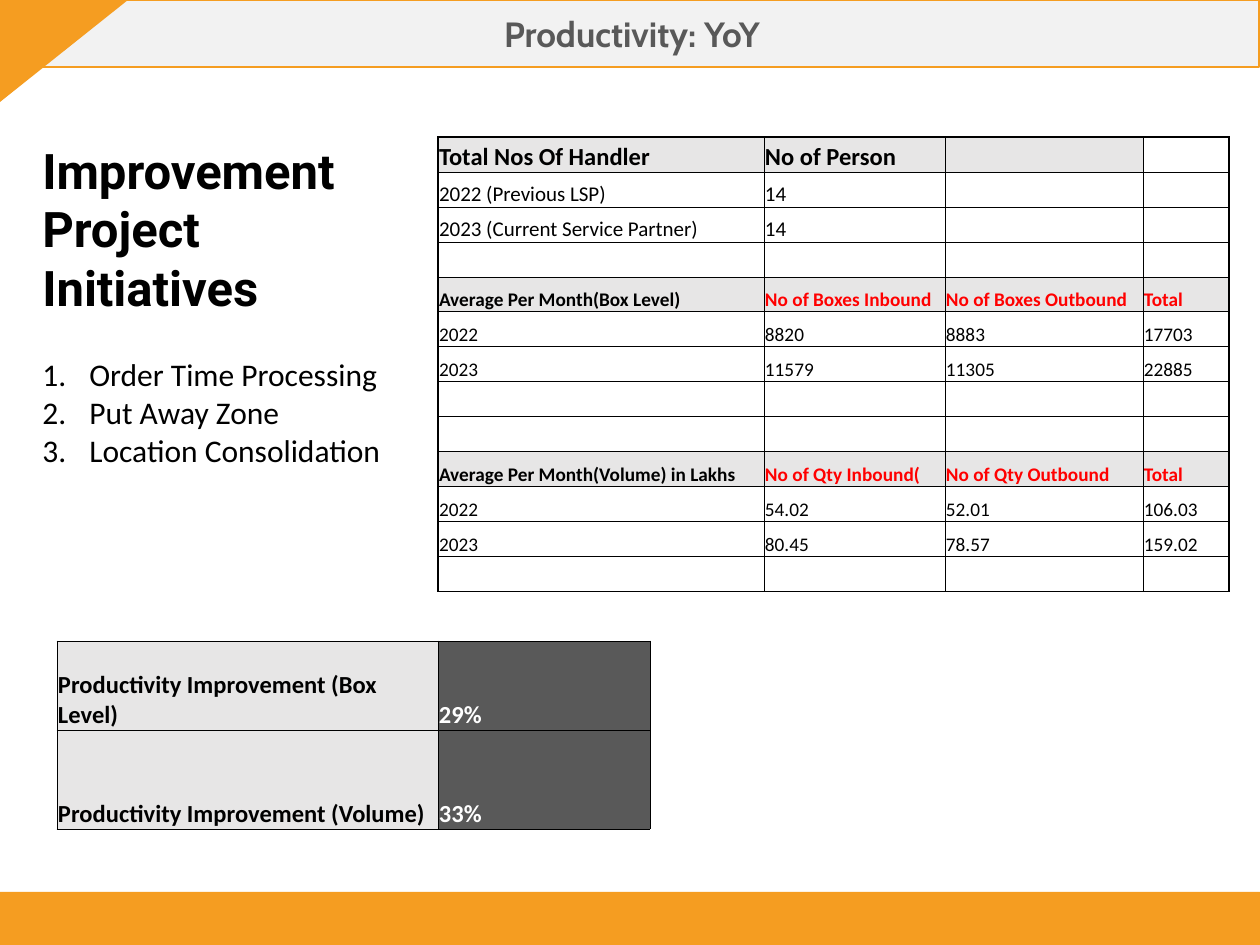
import lxml.etree
import pptx
import pptx.dml.color
import pptx.enum.shapes
import pptx.enum.text
import pptx.oxml.ns
import pptx.util

RGBColor = pptx.dml.color.RGBColor
ORANGE = RGBColor(0xF5, 0x9D, 0x21)
PALE_GREY = RGBColor(0xF2, 0xF2, 0xF2)
LIGHT_GREY = RGBColor(0xE7, 0xE6, 0xE6)
DARK_GREY = RGBColor(0x59, 0x59, 0x59)
RED = RGBColor(0xFF, 0x00, 0x00)
BLACK = RGBColor(0x00, 0x00, 0x00)
WHITE = RGBColor(0xFF, 0xFF, 0xFF)

PX_PER_INCH = 126
SHAPES = pptx.enum.shapes.MSO_SHAPE
ANCHORS = pptx.enum.text.MSO_ANCHOR

HANDLER_COLUMNS = [326, 181, 198, 86]
HANDLER_ROWS = [
    ["Total Nos Of Handler", "No of Person", "", ""],
    ["2022 (Previous LSP)", "14", "", ""],
    ["2023 (Current Service Partner)", "14", "", ""],
    [""] * 4,
    ["Average Per Month(Box Level)", "No of Boxes Inbound", "No of Boxes Outbound", "Total"],
    ["2022", "8820", "8883", "17703"],
    ["2023", "11579", "11305", "22885"],
    [""] * 4,
    [""] * 4,
    ["Average Per Month(Volume) in Lakhs", "No of Qty Inbound(", "No of Qty Outbound", "Total"],
    ["2022", "54.02", "52.01", "106.03"],
    ["2023", "80.45", "78.57", "159.02"],
    [""] * 4,
]
AVERAGE_HEADINGS = (4, 9)
HANDLER_SIZES = {0: 14, 1: 12, 2: 12}

GAIN_COLUMNS = [381, 212]
GAIN_HEIGHTS = [89, 99]
GAINS = [
    ["Productivity Improvement (Box Level)", "29%"],
    ["Productivity Improvement (Volume)", "33%"],
]
INITIATIVES = ["Order Time Processing", "Put Away Zone", "Location Consolidation"]


def px(length):
    return pptx.util.Emu(round(length * 914400 / PX_PER_INCH))


def apply(target, formats):
    for attribute, value in formats.items():
        setattr(target, attribute, value)


def write(paragraph, text, size, colour=BLACK, bold=False, face="Calibri"):
    run = paragraph.add_run()
    run.text = text
    apply(run.font, {"size": pptx.util.Pt(size), "bold": bold, "name": face})
    run.font.color.rgb = colour


def add_panel(slide, kind, box, fill):
    panel = slide.shapes.add_shape(kind, *map(px, box))
    panel.shadow.inherit = False
    panel.fill.solid()
    panel.fill.fore_color.rgb = fill
    panel.line.fill.background()
    return panel


def add_child(parent, tag, **attributes):
    return lxml.etree.SubElement(parent, pptx.oxml.ns.qn(tag), attributes)


def add_borders(cell, widths):
    properties = cell._tc.get_or_add_tcPr()
    for side, width in zip("LRTB", widths):
        border = add_child(properties, f"a:ln{side}", w=str(pptx.util.Pt(width)))
        add_child(add_child(border, "a:solidFill"), "a:srgbClr", val=str(BLACK))


def add_grid(slide, box, columns, heights, rows, look, outline):
    """Draw a table; look(row, column) gives a cell's fill and text format."""
    grid = slide.shapes.add_table(len(rows), len(columns), *map(px, box)).table
    apply(grid, {"first_row": False, "horz_banding": False})
    for column, width in zip(grid.columns, columns):
        column.width = px(width)
    last_row, last_column = len(rows) - 1, len(columns) - 1
    for r, values in enumerate(rows):
        grid.rows[r].height = px(heights[r])
        for c, text in enumerate(values):
            cell = grid.cell(r, c)
            fill, text_format = look(r, c)
            apply(cell, {"vertical_anchor": ANCHORS.BOTTOM, "margin_left": px(1),
                         "margin_right": px(1), "margin_top": px(1), "margin_bottom": 0})
            edges = (c == 0, c == last_column, r == 0, r == last_row)
            add_borders(cell, [outline if edge else 0.5 for edge in edges])
            if fill is None:
                cell.fill.background()
            else:
                cell.fill.solid()
                cell.fill.fore_color.rgb = fill
            paragraph = cell.text_frame.paragraphs[0]
            if text:
                write(paragraph, text, **text_format)
            else:
                add_child(paragraph._p, "a:endParaRPr", sz=str(text_format["size"] * 100))


def add_header(slide, left, top, width, height):
    # Title bar
    bar = add_panel(slide, SHAPES.RECTANGLE, (left + 5, top, width - 6, height), PALE_GREY)
    bar.line.color.rgb = ORANGE
    bar.line.width = pptx.util.Pt(1.5)
    bar.text_frame.vertical_anchor = ANCHORS.MIDDLE
    title = bar.text_frame.paragraphs[0]
    title.alignment = pptx.enum.text.PP_ALIGN.CENTER
    write(title, "Productivity: YoY", 20, DARK_GREY, True, "Cabin")
    # Corner wedge
    wedge = add_panel(slide, SHAPES.RIGHT_TRIANGLE, (left, top, 128, 102), ORANGE)
    wedge.rotation = 180
    wedge._element.spPr.xfrm.set("flipH", "1")


def add_initiatives(slide, left, top, width, height):
    frame = slide.shapes.add_textbox(*map(px, (left, top, width, height))).text_frame
    frame.word_wrap = True
    heading = frame.paragraphs[0]
    heading.space_after = pptx.util.Pt(22)
    write(heading, "Improvement Project Initiatives", 28, BLACK, True, "Roboto")
    for initiative in INITIATIVES:
        item = frame.add_paragraph()
        properties = item._p.get_or_add_pPr()
        properties.set("marL", str(px(47)))
        properties.set("indent", str(px(-47)))
        add_child(properties, "a:buAutoNum", type="arabicPeriod")
        write(item, initiative, 18)


def add_handler_table(slide, left, top, width, height):
    def look(row, column):
        average = row in AVERAGE_HEADINGS
        shaded = average or (row == 0 and column < 3)
        return LIGHT_GREY if shaded else None, {
            "size": HANDLER_SIZES.get(row, 11),
            "bold": average or row == 0,
            "colour": RED if average and column else BLACK,
        }

    heights = [height / len(HANDLER_ROWS)] * len(HANDLER_ROWS)
    add_grid(slide, (left, top, width, height), HANDLER_COLUMNS, heights,
             HANDLER_ROWS, look, outline=1)


def add_gain_table(slide, left, top, width, height):
    def look(row, column):
        fill, colour = ((LIGHT_GREY, BLACK), (DARK_GREY, WHITE))[column]
        return fill, {"size": 14, "bold": True, "colour": colour}

    add_grid(slide, (left, top, width, height), GAIN_COLUMNS, GAIN_HEIGHTS,
             GAINS, look, outline=0.5)


def main():
    deck = pptx.Presentation()
    apply(deck, {"slide_width": px(1260), "slide_height": px(945)})
    slide = deck.slides.add_slide(deck.slide_layouts[6])
    # Footer band
    add_panel(slide, SHAPES.RECTANGLE, (0, 892, 1260, 53), ORANGE)
    add_header(slide, 0, 0, 1260, 67)
    add_handler_table(slide, 438, 137, sum(HANDLER_COLUMNS), 455)
    add_initiatives(slide, 30, 134, 388, 780)
    add_gain_table(slide, 57, 641, sum(GAIN_COLUMNS), sum(GAIN_HEIGHTS))
    deck.save("out.pptx")


if __name__ == "__main__":
    main()
